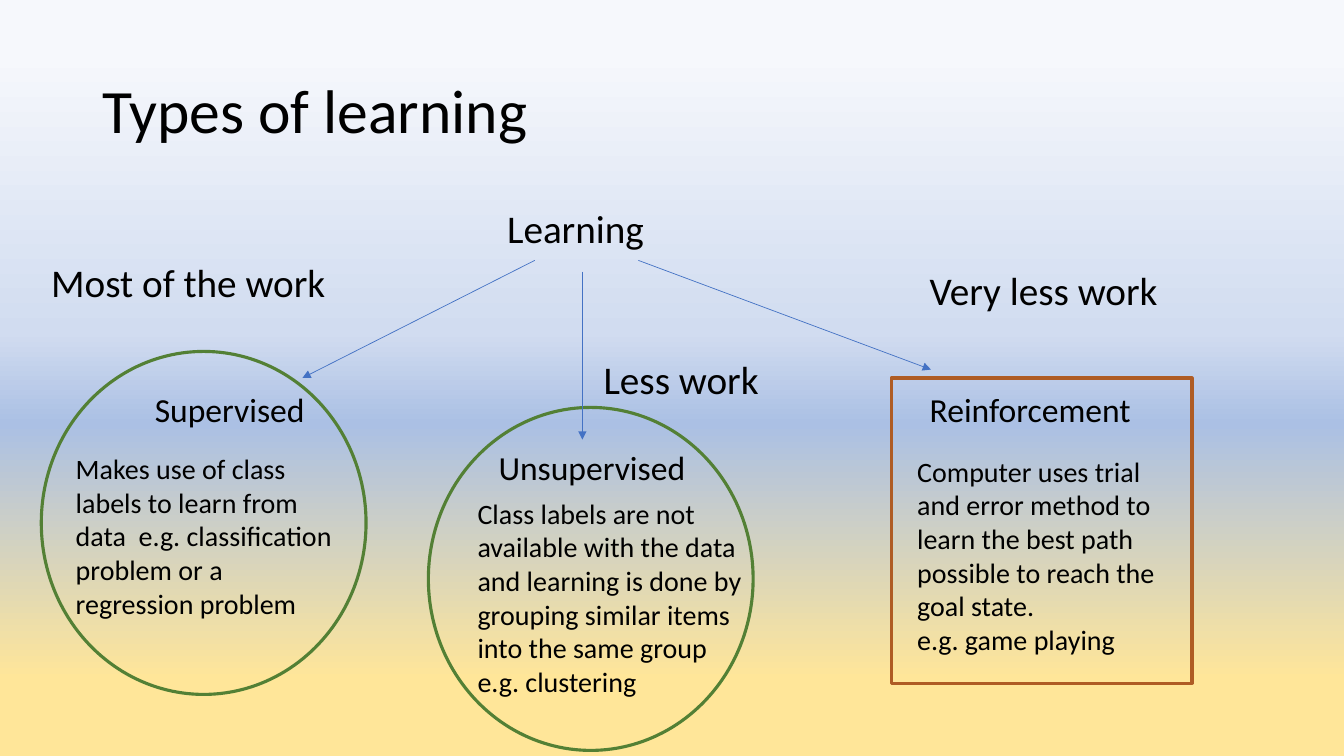
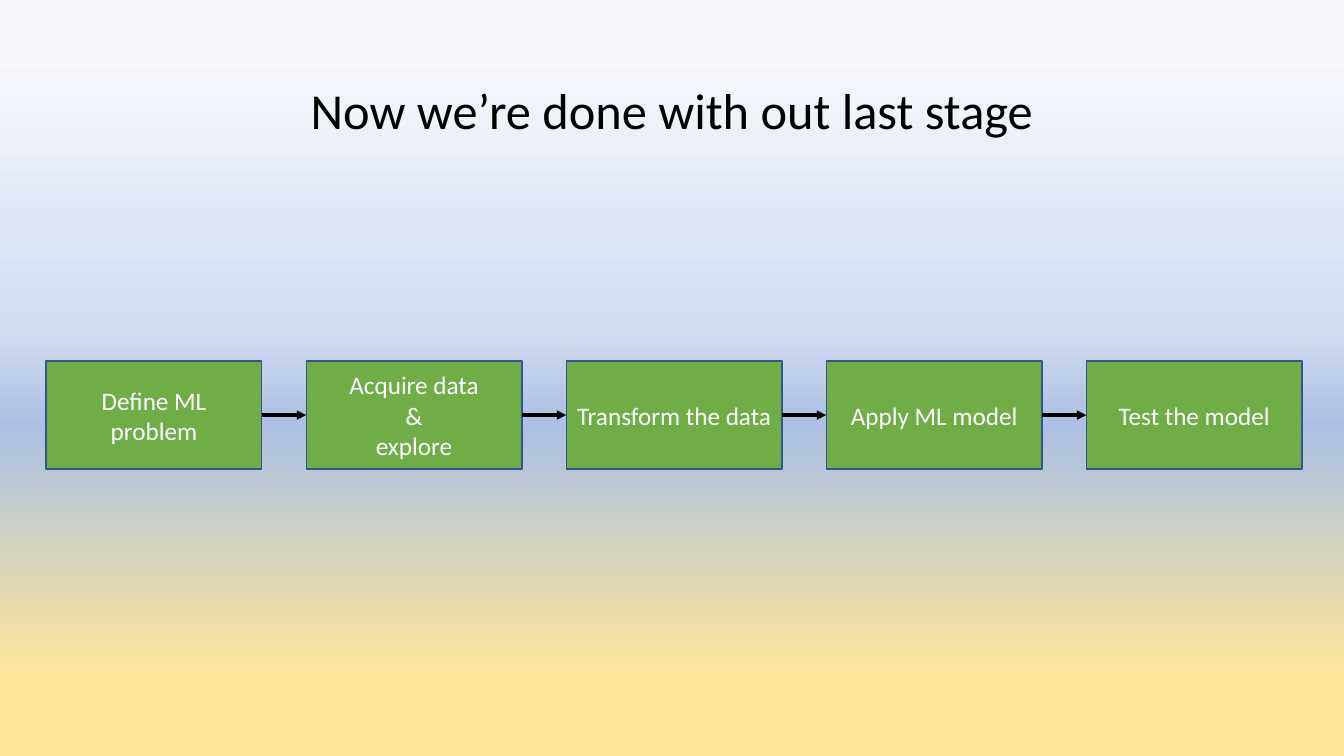
from dataclasses import dataclass
from itertools import pairwise

from pptx import Presentation
from pptx.dml.color import RGBColor
from pptx.enum.shapes import MSO_CONNECTOR as Connector, MSO_SHAPE as Preset
from pptx.enum.text import MSO_ANCHOR as Anchor, MSO_AUTO_SIZE as AutoSize, PP_ALIGN as Align
from pptx.oxml.ns import qn
from pptx.util import Pt
from lxml.etree import SubElement


@dataclass(frozen=True)
class Theme:
    font: str = "Calibri"
    ink: str = "000000"
    white: str = "FFFFFF"
    branch: str = "4472C4"
    circle: str = "538035"
    frame: str = "AF5C24"
    step_fill: str = "70AD47"
    step_line: str = "325491"
    # (position in percent, colour), from top to bottom
    sky: tuple = ((7, "F6F8FC"), (44, "D1DCF0"), (56, "ABC0E4"), (90, "FFE699"))
    title: int = 44
    closing_title: int = 36
    heading: int = 28
    kind: int = 24
    detail: int = 20
    step: int = 18


@dataclass(frozen=True)
class LearningType:
    """One branch: outline, its texts with their positions, and the arrow to it."""
    outline: Preset
    outline_color: str
    outline_box: tuple
    effort: str
    effort_at: tuple
    name: str
    name_at: tuple
    detail: str
    detail_at: tuple
    arrow: tuple


THEME = Theme()
CIRCLE_SIZE = (232, 245)
LABEL_WIDTH = 212

LEARNING_TYPES = (
    LearningType(
        Preset.OVAL, THEME.circle, (29.5, 251, *CIRCLE_SIZE),
        "Most of the work", (29.5, 181), "Supervised", (103.5, 274),
        "Makes use of class labels to learn from data  e.g. classification "
        "problem or a regression problem", (47, 319),
        (382, 186, 216, 270)),
    LearningType(
        Preset.OVAL, THEME.circle, (306, 291, *CIRCLE_SIZE),
        "Less work", (424, 250.5), "Unsupervised", (349, 316),
        "Class labels are not available with the data and learning is done by "
        "grouping similar items into the same group\ne.g. clustering", (334, 351),
        (416, 194, 416, 314)),
    LearningType(
        Preset.RECTANGLE, THEME.frame, (636.5, 270, 215, 218),
        "Very less work", (657, 187), "Reinforcement", (657, 274),
        "Computer uses trial and error method to learn the best path possible "
        "to reach the goal state.\ne.g. game playing", (648, 321),
        (456, 186, 665, 264)),
)

STEPS = ("Define ML\nproblem", "Acquire data\n&\nexplore", "Transform the data",
         "Apply ML model", "Test the model")


def rgb(color):
    return RGBColor.from_string(color)


def points(*lengths):
    return [Pt(length) for length in lengths]


def write(frame, text, size, color=THEME.ink, align=Align.LEFT, spacing=1.0):
    frame.text = text
    frame.word_wrap = True
    frame.auto_size = AutoSize.NONE
    for paragraph in frame.paragraphs:
        paragraph.alignment = align
        paragraph.line_spacing = spacing
        paragraph.space_before = Pt(0)
        for run in paragraph.runs:
            run.font.name = THEME.font
            run.font.size = Pt(size)
            run.font.color.rgb = rgb(color)


def fill_placeholder(placeholder, text, box, size, align=Align.LEFT):
    placeholder.left, placeholder.top, placeholder.width, placeholder.height = points(*box)
    write(placeholder.text_frame, text, size, align=align, spacing=0.9)


def set_title(slide, text, size, align=Align.LEFT):
    fill_placeholder(slide.shapes.title, text, (66, 29, 828, 104), size, align)
    slide.shapes.title.text_frame.vertical_anchor = Anchor.MIDDLE


def set_root(slide, text):
    """Put the root of the tree, without a bullet, in the body placeholder."""
    body = slide.placeholders[1]
    fill_placeholder(body, text, (355, 146, 140, 40), THEME.heading)
    properties = body.text_frame.paragraphs[0]._p.get_or_add_pPr()
    properties.set("marL", "0")
    properties.set("indent", "0")
    SubElement(properties, qn("a:buNone"))


def add_label(slide, text, at, size, width=LABEL_WIDTH, height=42):
    label = slide.shapes.add_textbox(*points(*at, width, height))
    write(label.text_frame, text, size)


def add_figure(slide, preset, box, line, line_width, fill=None):
    figure = slide.shapes.add_shape(preset, *points(*box))
    figure.shadow.inherit = False
    figure.line.color.rgb = rgb(line)
    figure.line.width = Pt(line_width)
    if fill:
        figure.fill.solid()
        figure.fill.fore_color.rgb = rgb(fill)
    else:
        figure.fill.background()
    return figure


def add_arrow(slide, ends, color, width):
    arrow = slide.shapes.add_connector(Connector.STRAIGHT, *points(*ends))
    arrow.line.color.rgb = rgb(color)
    arrow.line.width = Pt(width)
    SubElement(arrow.line._get_or_add_ln(), qn("a:tailEnd"), type="triangle")
    SubElement(arrow._element.spPr, qn("a:effectLst"))
    return arrow


def add_learning_type(slide, branch):
    add_figure(slide, branch.outline, branch.outline_box, branch.outline_color, 2.25)
    add_arrow(slide, branch.arrow, THEME.branch, 0.5)
    add_label(slide, branch.effort, branch.effort_at, THEME.heading)
    add_label(slide, branch.name, branch.name_at, THEME.kind)
    add_label(slide, branch.detail, branch.detail_at, THEME.detail, 204, 153)


def add_step(slide, text, box):
    step = add_figure(slide, Preset.RECTANGLE, box, THEME.step_line, 1, THEME.step_fill)
    frame = step.text_frame
    write(frame, text, THEME.step, THEME.white, Align.CENTER)
    frame.vertical_anchor = Anchor.MIDDLE
    frame.margin_left = frame.margin_right = Pt(5)
    return step


def add_flow(slide, texts, left=33, top=258, width=154, height=77, gap=31.75):
    steps = [add_step(slide, text, (left + i * (width + gap), top, width, height))
             for i, text in enumerate(texts)]
    right_side, left_side = 3, 1
    for before, after in pairwise(steps):
        arrow = add_arrow(slide, (0, 0, 0, 0), THEME.ink, 2.25)
        arrow.begin_connect(before, right_side)
        arrow.end_connect(after, left_side)


def paint_background(master):
    fill = master.background.fill
    fill.gradient()
    fill.gradient_angle = 270
    stops = master.element.find(".//" + qn("a:gsLst"))
    for stop in list(stops):
        stops.remove(stop)
    for percent, color in THEME.sky:
        stop = SubElement(stops, qn("a:gs"), pos=str(percent * 1000))
        SubElement(stop, qn("a:srgbClr"), val=color)


def build_types_slide(deck):
    slide = deck.slides.add_slide(deck.slide_layouts.get_by_name("Title and Content"))
    set_title(slide, "Types of learning", THEME.title)
    set_root(slide, "Learning")
    for branch in LEARNING_TYPES:
        add_learning_type(slide, branch)


def build_stages_slide(deck):
    slide = deck.slides.add_slide(deck.slide_layouts.get_by_name("Title Only"))
    set_title(slide, "Now we’re done with out last stage", THEME.closing_title, Align.CENTER)
    add_flow(slide, STEPS)


def main():
    deck = Presentation()
    deck.slide_width, deck.slide_height = points(960, 540)
    paint_background(deck.slide_master)
    build_types_slide(deck)
    build_stages_slide(deck)
    deck.save("out.pptx")


if __name__ == "__main__":
    main()
